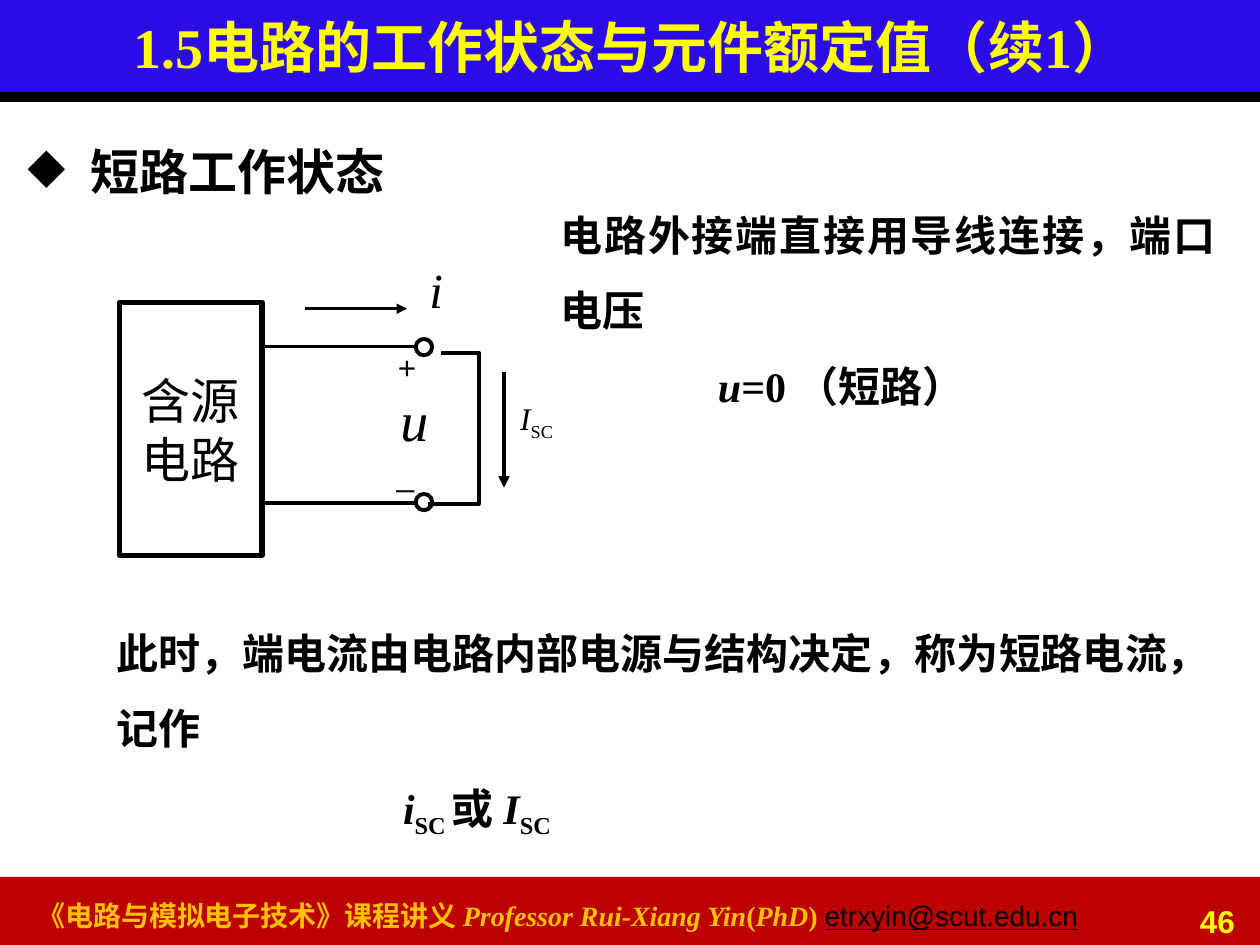
"""Build a lecture slide on the short-circuit state of a circuit."""
from lxml.etree import SubElement
from pptx import Presentation
from pptx.dml.color import RGBColor
from pptx.enum.shapes import MSO_CONNECTOR, MSO_SHAPE
from pptx.enum.text import MSO_ANCHOR, PP_ALIGN
from pptx.oxml.ns import qn
from pptx.util import Inches, Pt

COLORS = {"black": "000000", "white": "FFFFFF", "blue": "2B0CE8", "red": "BC0000",
          "yellow": "FFFF00", "gold": "FFC000"}
SERIF, SANS = "Times New Roman", "Arial"
ITALIC, PLAIN, SUB = {"italic": True}, {}, {"baseline": "-25000"}

deck = Presentation()
deck.slide_width, deck.slide_height = Inches(10), Inches(7.5)
page = deck.slides.add_slide(deck.slide_layouts[6])
column, row = deck.slide_width // 100, deck.slide_height // 75


def place(left, top, width, height):
    return [round(left * column), round(top * row), round(width * column), round(height * row)]


def write(frame, paragraphs, size, name=SERIF, color="black", bold=False, wrap=True,
          align=PP_ALIGN.LEFT, spacing=1.0, anchor=MSO_ANCHOR.TOP):
    frame.word_wrap, frame.vertical_anchor = wrap, anchor
    for index, (indent, runs) in enumerate(paragraphs):
        para = frame.paragraphs[0] if index == 0 else frame.add_paragraph()
        para.alignment, para.line_spacing = align, spacing
        para._p.get_or_add_pPr().set("marL", str(round(indent * column)))
        for text, style in runs:
            span = para.add_run()
            span.text = text
            formats = {"name": name, "size": Pt(size), "bold": bold, "italic": False,
                       "color": color, **style}
            span.font.color.rgb = RGBColor.from_string(COLORS[formats.pop("color")])
            if "baseline" in formats:
                span.font._element.set("baseline", formats.pop("baseline"))
            for key, value in formats.items():
                setattr(span.font, key, value)


bands = [("red", (-0.2, 69.6, 100.4, 5.6)), ("blue", (-0.2, 0, 100.4, 7.6)),
         ("black", (-0.1, 7.3, 100.2, 0.8))]
for color, area in bands:
    band = page.shapes.add_shape(MSO_SHAPE.RECTANGLE, *place(*area))
    band.shadow.inherit = False
    band.fill.solid()
    band.fill.fore_color.rgb = RGBColor.from_string(COLORS[color])
    band.line.fill.background()

source = page.shapes.add_shape(MSO_SHAPE.RECTANGLE, *place(9.5, 24, 11.3, 20.1))
write(source.text_frame, [(0, [("含源", PLAIN)]), (0, [("电路", PLAIN)])], 28, SANS,
      wrap=False, align=PP_ALIGN.CENTER, anchor=MSO_ANCHOR.MIDDLE)

wires = [((20.8, 27.5), (33.2, 27.5), 2.25, False),
         ((20.8, 39.9), (33.2, 39.9), 2.25, False),
         ((24.2, 24.5), (32.3, 24.5), 1.5, True),
         ((40, 29.5), (40, 38.7), 2.25, True)]
for start, end, weight, arrow in wires:
    wire = page.shapes.add_connector(MSO_CONNECTOR.STRAIGHT, *place(*start, *end))
    wire.line.width = Pt(weight)
    wire.line.color.rgb = RGBColor.from_string(COLORS["black"])
    if arrow:
        SubElement(wire.line._get_or_add_ln(), qn("a:tailEnd"), type="triangle")
    SubElement(wire._element.spPr, qn("a:effectLst"))

terminals = [page.shapes.add_shape(MSO_SHAPE.OVAL, *place(33, top, 1.3, 1.3))
             for top in (26.9, 39.2)]
builder = page.shapes.build_freeform(34.6, 27.6, scale=(column, row))
builder.add_line_segments([(38.1, 27.6), (38.1, 39.9), (34.5, 40)], close=False)
short = builder.convert_to_shape()
for part, weight in [(source, 3), (short, 2.25)] + [(dot, 2.25) for dot in terminals]:
    part.shadow.inherit = False
    part.fill.background()
    part.line.width = Pt(weight)
    part.line.color.rgb = RGBColor.from_string(COLORS["black"])
for dot in terminals:
    dot.fill.solid()
    dot.fill.fore_color.rgb = RGBColor.from_string(COLORS["white"])

labels = [((30.6, 27.1, 3.9, 5), 18, SANS, [("+", PLAIN)]),
          ((30.5, 35.6, 3.7, 5), 18, SANS, [("_", PLAIN)]),
          ((33.1, 20.1, 3.1, 5.7), 28, SERIF, [("i", ITALIC)]),
          ((30.8, 30.1, 4.3, 6.4), 32, SERIF, [("u", ITALIC)]),
          ((40.3, 31.2, 4.9, 4), 18, SERIF, [("I", ITALIC), ("SC", SUB)])]
for area, size, name, runs in labels:
    label = page.shapes.add_textbox(*place(*area))
    write(label.text_frame, [(0, runs)], size, name, wrap=False)

title = page.shapes.add_textbox(*place(0, 0, 100.2, 7.3))
write(title.text_frame, [(0, [("1.5电路的工作状态与元件额定值（续1）", PLAIN)])], 32,
      color="yellow", bold=True, align=PP_ALIGN.CENTER, anchor=MSO_ANCHOR.MIDDLE)

heading = page.shapes.add_textbox(*place(1.2, 8.4, 97.2, 60.6))
write(heading.text_frame, [(5, [("短路工作状态", PLAIN)])], 28, bold=True, spacing=1.5)
properties = heading.text_frame.paragraphs[0]._p.get_or_add_pPr()
properties.set("indent", str(-5 * column))
SubElement(properties, qn("a:buChar"), char="◆")

voltage = page.shapes.add_textbox(*place(43.5, 14.1, 54, 18.4))
write(voltage.text_frame,
      [(0, [("电路外接端直接用导线连接，端口电压", PLAIN)]),
       (12.5, [("u", ITALIC), ("=0 （短路）", PLAIN)])], 24, bold=True, spacing=1.5)
voltage.text_frame.paragraphs[0].alignment = PP_ALIGN.JUSTIFY

current = page.shapes.add_textbox(*place(8.3, 47.3, 87.8, 18.4))
write(current.text_frame,
      [(0, [("此时，端电流由电路内部电源与结构决定，称为短路电流，记作", PLAIN)]),
       (22.7, [("i", ITALIC), ("SC ", SUB), ("或 ", PLAIN), ("I", ITALIC), ("SC", SUB)])],
      24, bold=True, spacing=1.5)

footer = page.shapes.add_textbox(*place(2, 70.8, 88.2, 3.7))
email = {"name": SANS, "color": "black", "bold": False, "underline": True}
write(footer.text_frame,
      [(0, [("《电路与模拟电子技术》课程讲义 ", PLAIN), ("Professor Rui-Xiang Yin", ITALIC),
            ("(", PLAIN), ("PhD", ITALIC), (") ", PLAIN), ("etrxyin@scut.edu.cn", email)])],
      16, color="gold", bold=True)

number = page.shapes.add_textbox(*place(89.6, 71.1, 9.4, 3.1))
write(number.text_frame, [(0, [("46", PLAIN)])], 18, SANS, "yellow", True,
      align=PP_ALIGN.RIGHT)

deck.save("out.pptx")
